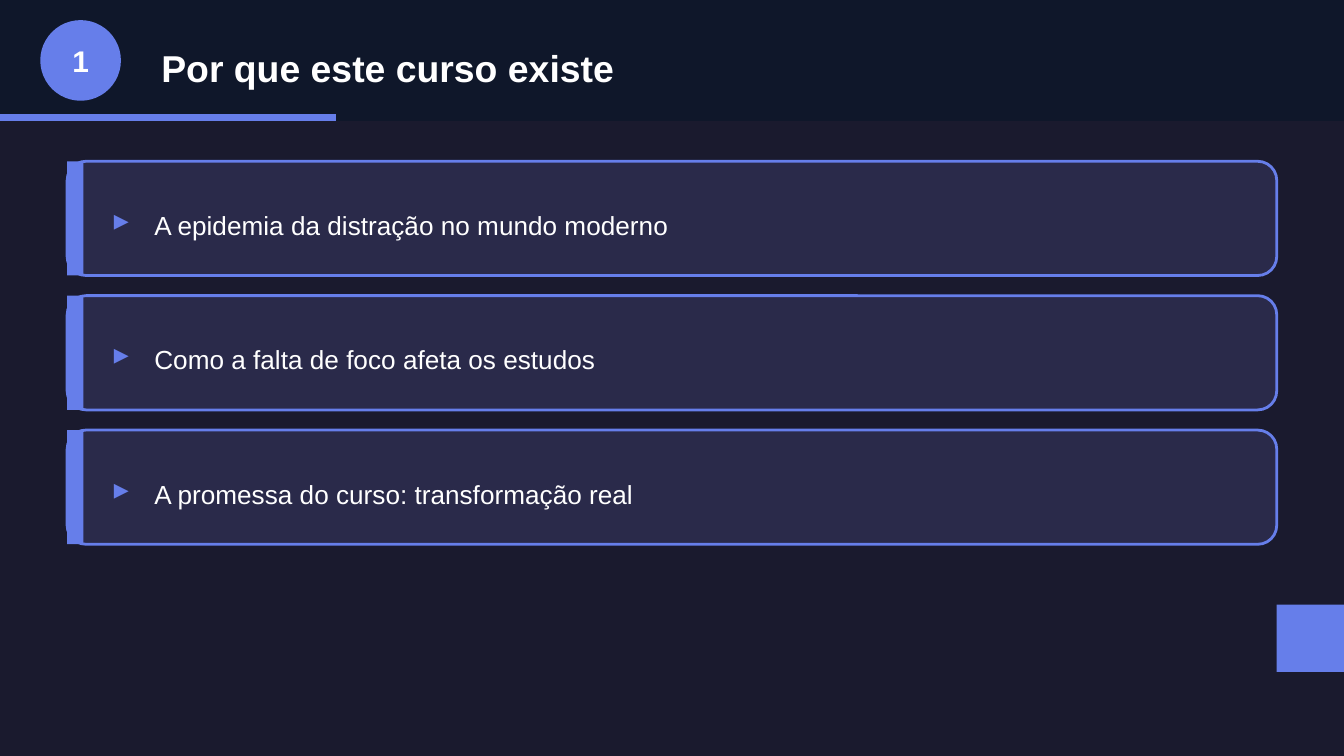
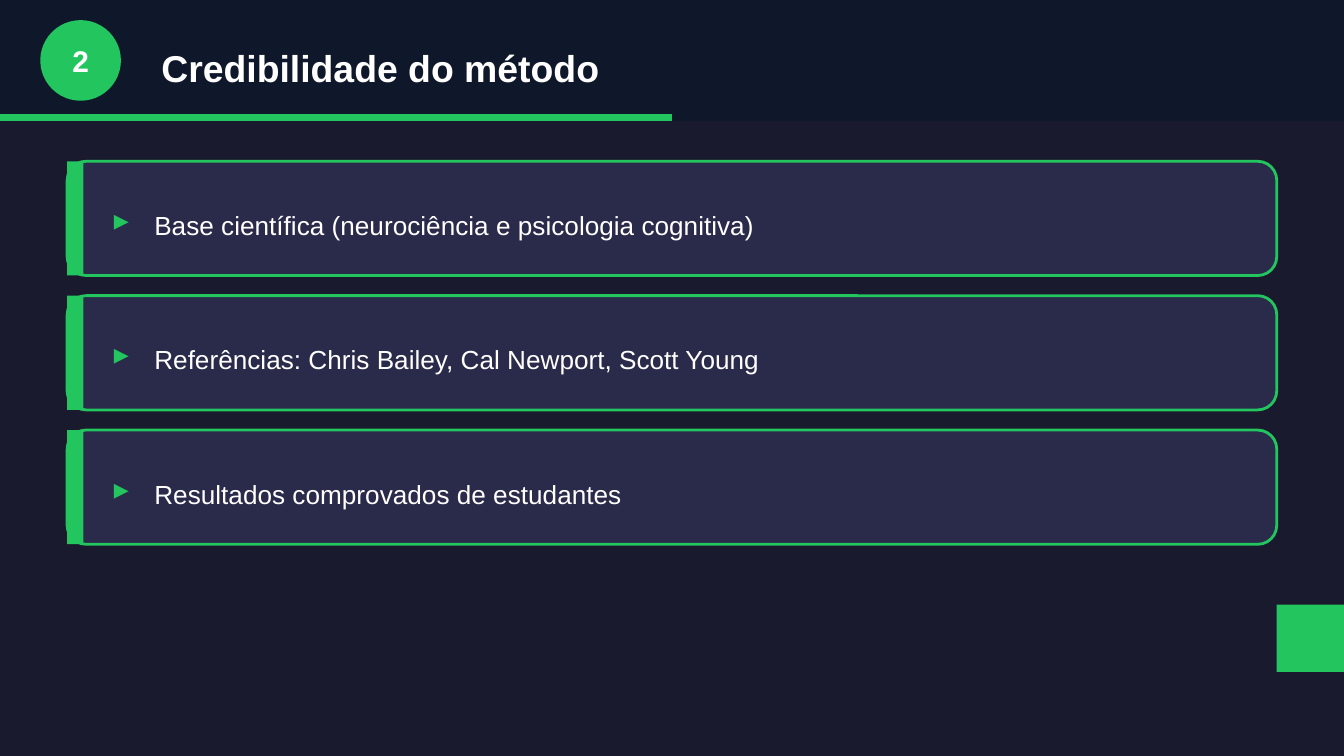
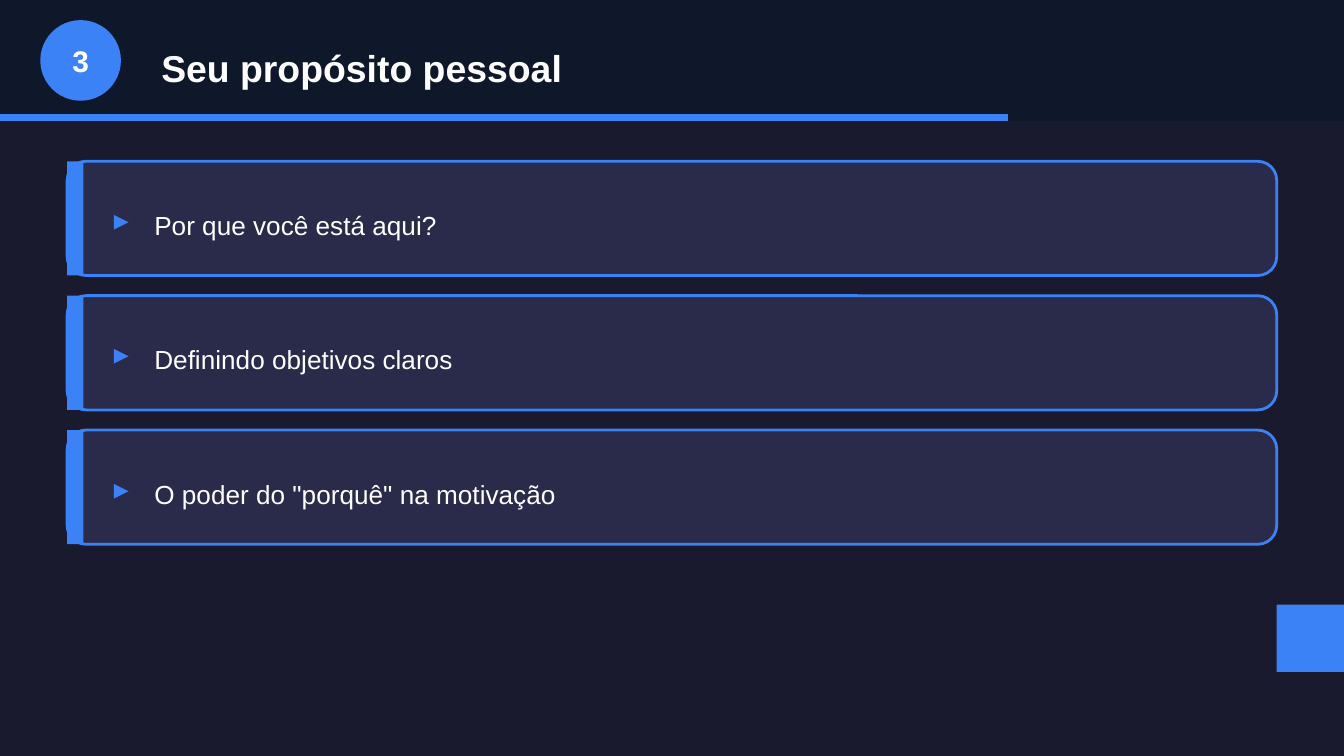
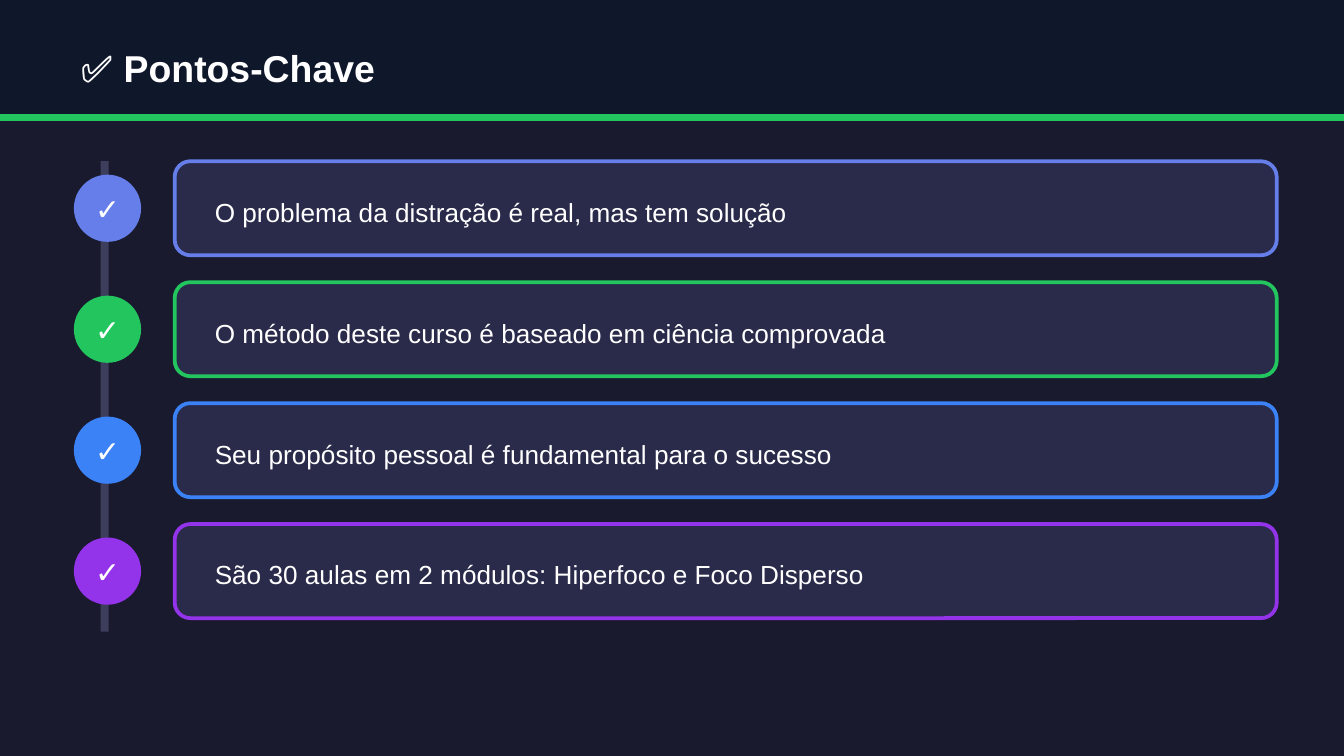
import pptx
import pptx.util
import pptx.dml.color
import pptx.enum.shapes
import pptx.enum.text

Inches = pptx.util.Inches
RGBColor = pptx.dml.color.RGBColor
SHAPE = pptx.enum.shapes.MSO_SHAPE
ALIGN = pptx.enum.text.PP_ALIGN

# Colours
BACKGROUND = RGBColor(0x1A, 0x1A, 0x2E)
HEADER = RGBColor(0x0F, 0x17, 0x2A)
CARD = RGBColor(0x2A, 0x2A, 0x4A)
TIMELINE = RGBColor(0x3D, 0x3D, 0x5C)
WHITE = RGBColor(0xFF, 0xFF, 0xFF)
INDIGO = RGBColor(0x66, 0x7E, 0xEA)
GREEN = RGBColor(0x22, 0xC5, 0x5E)
BLUE = RGBColor(0x3B, 0x82, 0xF6)
PURPLE = RGBColor(0x93, 0x33, 0xEA)

# Content
TOPICS = [
    ("Por que este curso existe", INDIGO, [
        "A epidemia da distração no mundo moderno",
        "Como a falta de foco afeta os estudos",
        "A promessa do curso: transformação real",
    ]),
    ("Credibilidade do método", GREEN, [
        "Base científica (neurociência e psicologia cognitiva)",
        "Referências: Chris Bailey, Cal Newport, Scott Young",
        "Resultados comprovados de estudantes",
    ]),
    ("Seu propósito pessoal", BLUE, [
        "Por que você está aqui?",
        "Definindo objetivos claros",
        'O poder do "porquê" na motivação',
    ]),
]
SUMMARY_TITLE = "✅ Pontos-Chave"
KEY_POINTS = [
    ("O problema da distração é real, mas tem solução", INDIGO),
    ("O método deste curso é baseado em ciência comprovada", GREEN),
    ("Seu propósito pessoal é fundamental para o sucesso", BLUE),
    ("São 30 aulas em 2 módulos: Hiperfoco e Foco Disperso", PURPLE),
]

# Layout, in inches, on a 16:9 slide
WIDTH = 10
HEIGHT = WIDTH * 9 / 16
ROWS_TOP = 1.2
TOPIC_PITCH, POINT_PITCH = 1.0, 0.9

# Text formats
TITLE = {"size": 20, "bold": True, "color": WHITE}
MARK = {"size": 16, "bold": True, "color": WHITE}
BODY = {"size": 14, "bold": False, "color": WHITE}


def add_box(s, kind, x, y, w, h, fill, line=None, line_width=1.5):
    sp = s.shapes.add_shape(kind, Inches(x), Inches(y), Inches(w), Inches(h))
    sp.shadow.inherit = False
    sp.fill.solid()
    sp.fill.fore_color.rgb = fill
    if line is None:
        sp.line.fill.background()
    else:
        sp.line.color.rgb = line
        sp.line.width = pptx.util.Pt(line_width)
    return sp


def write(sp, text, style, align=ALIGN.LEFT):
    tf = sp.text_frame
    frame_format = {
        "word_wrap": True,
        "auto_size": pptx.enum.text.MSO_AUTO_SIZE.NONE,
        "vertical_anchor": pptx.enum.text.MSO_ANCHOR.MIDDLE,
    }
    for name, value in frame_format.items():
        setattr(tf, name, value)
    p = tf.paragraphs[0]
    p.alignment = align
    r = p.add_run()
    r.text = text
    font_format = {"name": "Arial", "size": pptx.util.Pt(style["size"]),
                   "bold": style["bold"]}
    for name, value in font_format.items():
        setattr(r.font, name, value)
    r.font.color.rgb = style["color"]


def add_text(s, x, y, w, h, text, style, align=ALIGN.LEFT):
    sp = s.shapes.add_textbox(Inches(x), Inches(y), Inches(w), Inches(h))
    write(sp, text, style, align)


def add_badge(s, x, y, size, mark, color):
    add_box(s, SHAPE.OVAL, x, y, size, size, color)
    add_text(s, x, y + size / 2 - 0.2, size, 0.4, mark, MARK, ALIGN.CENTER)


def add_slide(prs, title, title_x, title_w, color, progress):
    """Slide with header band, progress bar and title."""
    s = prs.slides.add_slide(prs.slide_layouts[5])
    add_box(s, SHAPE.RECTANGLE, 0, 0, WIDTH, 0.9, HEADER)
    add_box(s, SHAPE.RECTANGLE, 0, 0.85, WIDTH * progress, 0.05, color)
    sp = s.shapes.title
    place = {"left": title_x, "top": 0.25, "width": title_w, "height": 0.5}
    for name, value in place.items():
        setattr(sp, name, Inches(value))
    write(sp, title, TITLE)
    # Bring the title in front of the band
    s.shapes._spTree.append(sp._element)
    return s


def add_topic(prs, number, title, color, items):
    s = add_slide(prs, title, 1.1, 8.5, color, number / (len(TOPICS) + 1))
    add_badge(s, 0.3, 0.15, 0.6, str(number), color)
    for i, item in enumerate(items):
        y = ROWS_TOP + i * TOPIC_PITCH
        add_box(s, SHAPE.ROUNDED_RECTANGLE, 0.5, y, 9, 0.85, CARD, color)
        add_box(s, SHAPE.RECTANGLE, 0.5, y, 0.12, 0.85, color)
        add_text(s, 0.75, y + 0.25, 0.3, 0.35, "▸", {**MARK, "color": color})
        add_text(s, 1.05, y + 0.25, 8.2, 0.45, item, BODY)
    # Corner accent
    add_box(s, SHAPE.RECTANGLE, 9.5, 4.5, 0.5, 0.5, color)


def add_summary(prs):
    s = add_slide(prs, SUMMARY_TITLE, 0.5, 9, GREEN, 1)
    add_box(s, SHAPE.RECTANGLE, 0.75, ROWS_TOP, 0.06, 3.5, TIMELINE)
    for i, (point, color) in enumerate(KEY_POINTS):
        y = ROWS_TOP + i * POINT_PITCH
        add_badge(s, 0.55, y + 0.1, 0.5, "✓", color)
        add_box(s, SHAPE.ROUNDED_RECTANGLE, 1.3, y, 8.2, 0.7, CARD, color, 2)
        add_text(s, 1.5, y + 0.15, 7.8, 0.45, point, BODY)


def main():
    prs = pptx.Presentation()
    prs.slide_width, prs.slide_height = Inches(WIDTH), Inches(HEIGHT)
    # Shared background
    fill = prs.slide_master.background.fill
    fill.solid()
    fill.fore_color.rgb = BACKGROUND
    for number, (title, color, items) in enumerate(TOPICS, 1):
        add_topic(prs, number, title, color, items)
    add_summary(prs)
    prs.save("out.pptx")


if __name__ == "__main__":
    main()
